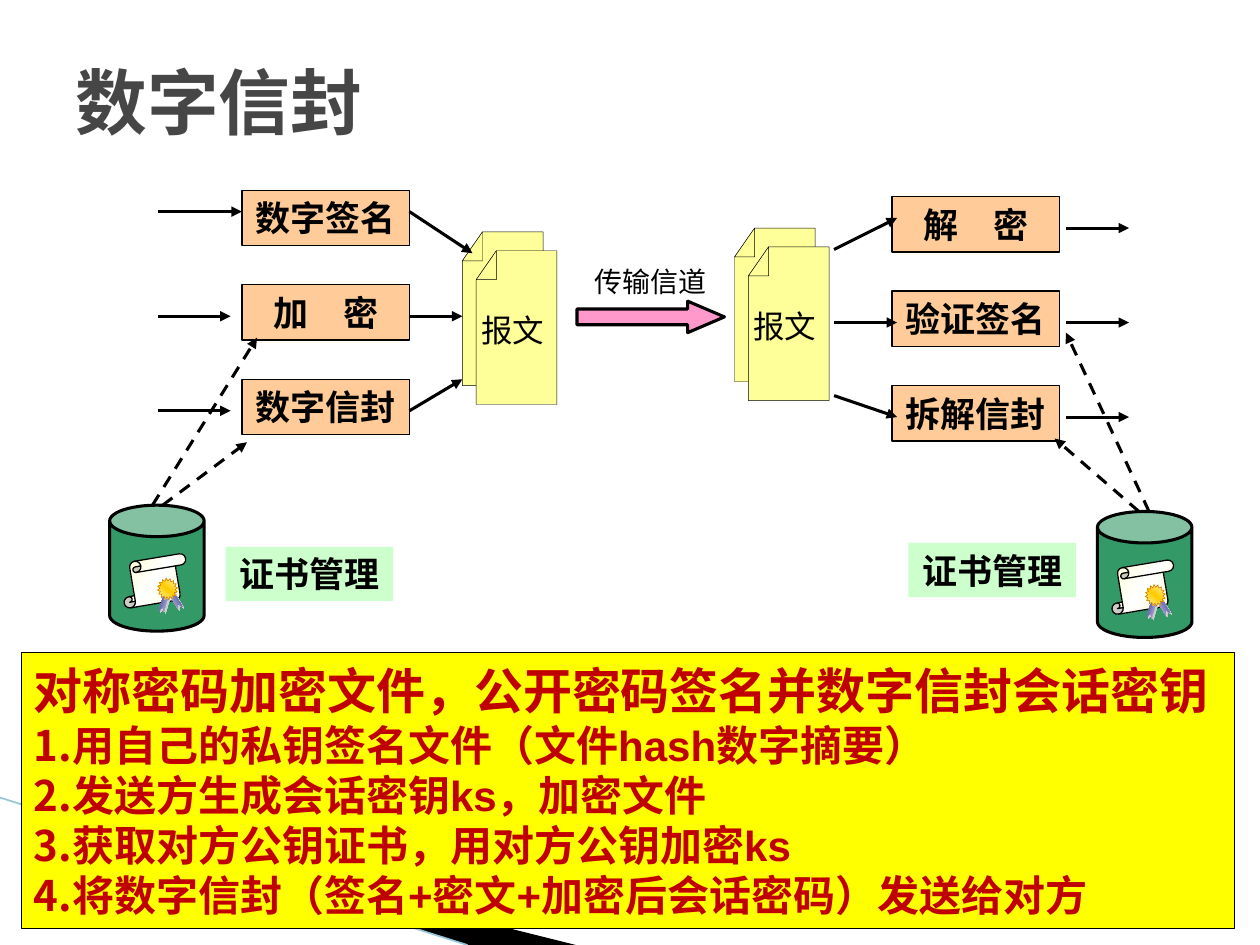
from pptx import Presentation
from pptx.dml.color import RGBColor
from pptx.enum.dml import MSO_LINE
from pptx.enum.shapes import MSO_CONNECTOR, MSO_SHAPE
from pptx.enum.text import MSO_ANCHOR, PP_ALIGN
from pptx.oxml import parse_xml
from pptx.oxml.ns import nsdecls, qn
from pptx.util import Inches, Pt

CJK_FONT = "Noto Sans CJK SC"
BLACK = "000000"
STEP_SPACING = 0.75


def color(value):
    """Turn a hex string into a colour."""
    return RGBColor.from_string(value)


def element(tag, attributes=""):
    """Make one empty drawing element."""
    return parse_xml(f"<a:{tag} {nsdecls('a')} {attributes}/>")


def paint(shape, fill=None, line=None, width=0.75):
    """Set fill and outline and switch the shadow off."""
    shape.shadow.inherit = False
    if fill:
        shape.fill.solid()
        shape.fill.fore_color.rgb = color(fill)
    if line:
        shape.line.color.rgb = color(line)
        shape.line.width = Pt(width)
    else:
        shape.line.fill.background()


def paint_gradient(shape, stops, angle):
    """Fill a shape with (percent, colour) stops at a clockwise angle."""
    shape.fill.gradient()
    shape.fill.gradient_angle = (360 - angle) % 360
    stop_list = shape.element.spPr.find(qn("a:gradFill")).find(qn("a:gsLst"))
    stop_list.clear()
    for percent, value in stops:
        stop = element("gs", f'pos="{percent * 1000}"')
        stop.append(element("srgbClr", f'val="{value}"'))
        stop_list.append(stop)


def add_preset(page, kind, place, adjust=(), rotation=0, **look):
    """Add a preset shape at (left, top, width, height)."""
    shape = page.shapes.add_shape(kind, *map(Inches, place))
    for index, value in enumerate(adjust):
        shape.adjustments[index] = value
    shape.rotation = rotation
    paint(shape, **look)
    return shape


def add_outline(page, points, fill, line=None, width=0.25):
    """Add a closed polygon through the given points."""
    corners = [(Inches(x), Inches(y)) for x, y in points]
    builder = page.shapes.build_freeform(*corners[0])
    builder.add_line_segments(corners[1:], close=True)
    paint(builder.convert_to_shape(), fill, line, width)


def add_line(page, start, end, tint=BLACK, width=1.75, dashed=False, arrow=True):
    """Add a straight line, with an arrowhead at its end unless told otherwise."""
    line = page.shapes.add_connector(
        MSO_CONNECTOR.STRAIGHT, *map(Inches, (*start, *end)))
    line.line.color.rgb = color(tint)
    line.line.width = Pt(width)
    if dashed:
        line.line.dash_style = MSO_LINE.DASH
    properties = line.element.spPr
    if arrow:
        properties.find(qn("a:ln")).append(element("tailEnd", 'type="triangle"'))
    properties.append(element("effectLst"))


def set_margins(box, side=0.1, edge=0.05):
    """Prepare a text frame with wrapping, insets and middle anchoring."""
    frame = box.text_frame
    frame.word_wrap = True
    frame.vertical_anchor = MSO_ANCHOR.MIDDLE
    frame.margin_left = frame.margin_right = Inches(side)
    frame.margin_top = frame.margin_bottom = Inches(edge)
    return frame


def write(paragraph, text, size, font="Arial", tint=BLACK, bold=False,
          align=PP_ALIGN.LEFT):
    """Write one formatted span into a paragraph."""
    paragraph.alignment = align
    span = paragraph.add_run()
    span.text = text
    span.font.name = font
    span.font.size = Pt(size)
    span.font.bold = bold
    span.font.color.rgb = color(tint)
    span.font._element.append(element("ea", f'typeface="{CJK_FONT}"'))


def add_text(page, text, place, side=0.1, edge=0.05, wrap=True, **style):
    """Add a text box with one paragraph."""
    box = page.shapes.add_textbox(*map(Inches, place))
    frame = set_margins(box, side, edge)
    frame.word_wrap = wrap
    write(frame.paragraphs[0], text, **style)


def add_label(page, text, left, top, height=0.44, fill="FFCC99", line=BLACK):
    """Add a filled rectangle with a bold centred label."""
    box = add_preset(page, MSO_SHAPE.RECTANGLE, (left, top, 1.33, height),
                     fill=fill, line=line)
    write(set_margins(box, 0).paragraphs[0], text, 20, bold=True,
          align=PP_ALIGN.CENTER)


def add_steps(page, names, left, top):
    """Stack the processing steps at an even distance."""
    for index, name in enumerate(names):
        add_label(page, name, left, top + index * STEP_SPACING)


def add_sheet(page, left, top):
    """Add a sheet of paper with its top left corner folded."""
    right, bottom = left + 0.64, top + 1.22
    fold, crease = (left + 0.16, top), (left, top + 0.23)
    look = {"fill": "FFFF99", "line": BLACK}
    add_outline(page, [fold, (right, top), (right, bottom), (left, bottom), crease], **look)
    add_outline(page, [fold, (fold[0], crease[1]), crease], **look)


def add_message(page, left, top):
    """Add two overlapping sheets that stand for the message."""
    add_sheet(page, left, top)
    add_sheet(page, left + 0.11, top + 0.15)
    add_text(page, "报文", (left + 0.15, top + 0.63, 0.5, 0.3), side=0, edge=0,
             wrap=False, size=18, font=CJK_FONT)


def add_certificate_store(page, left, top):
    """Add a drum that carries a scroll with a ribboned seal."""
    add_preset(page, MSO_SHAPE.CAN, (left, top, 0.75, 1), [0.333],
               fill="339966", line=BLACK, width=1.75)
    scroll = add_preset(page, MSO_SHAPE.VERTICAL_SCROLL,
                        (left + 0.09, top + 0.42, 0.54, 0.36), [0.25], 350.5,
                        line=BLACK)
    paint_gradient(scroll, [(0, "FFFFCC"), (50, "FFFFFF"), (100, "FFFFCC")], 45)
    for across, down, rotation, flip in ((0.43, 0.72, 239.1, 0), (0.35, 0.74, 106.7, 1)):
        ribbon = add_preset(page, MSO_SHAPE.CHEVRON,
                            (left + across, top + down, 0.17, 0.04), [1], rotation)
        paint_gradient(ribbon, [(0, "D6D6E3"), (100, "333399")], 90)
        properties = ribbon.element.spPr
        properties.find(qn("a:xfrm")).set("flipH", str(flip))
        shadow = element("outerShdw", 'dist="17780" dir="2700000"')
        shadow.append(element("srgbClr", 'val="CECECE"'))
        properties.find(qn("a:effectLst")).append(shadow)
    seal = add_preset(page, MSO_SHAPE.STAR_16_POINT,
                      (left + 0.38, top + 0.58, 0.16, 0.17), [0.375], 352.9,
                      line="CC6600", width=0.25)
    paint_gradient(seal, [(0, "FFFFCC"), (50, "FFCC00"), (100, "FFFFCC")], 315)


def add_summary(page, heading, items):
    """Add the yellow box with a heading and a numbered list."""
    box = add_preset(page, MSO_SHAPE.RECTANGLE, (0.17, 5.18, 9.63, 2.19),
                     fill="FFFF00", line=BLACK)
    frame = set_margins(box)
    for index, text in enumerate([heading, *items]):
        paragraph = frame.paragraphs[0] if index == 0 else frame.add_paragraph()
        paragraph.line_spacing = Pt(28.7 if index else 33.4)
        properties = paragraph._p.get_or_add_pPr()
        properties.set("marL", str(Inches(0.25)))
        properties.set("indent", str(Inches(-0.25)))
        if index:
            properties.append(element("buFont", f'typeface="{CJK_FONT}"'))
            properties.append(element("buAutoNum", 'type="arabicPeriod"'))
        write(paragraph, text, 24 if index else 28, tint="C00000", bold=True)


def main():
    """Build the digital envelope slide."""
    deck = Presentation()
    deck.slide_width, deck.slide_height = Inches(10), Inches(7.5)
    page = deck.slides.add_slide(deck.slide_layouts[6])
    add_outline(page, [(0.53, 6.49), (4.57, 7.5), (3.72, 7.5), (0.54, 6.5)], BLACK)
    add_line(page, (0, 6.33), (3.71, 7.5), tint="97C5D8", width=0.95, arrow=False)
    add_text(page, "数字信封", (0.5, 0.3, 9, 1), size=41, font="DejaVu Sans Mono",
             tint="464646", bold=True)
    add_steps(page, ["数字签名", "加　密", "数字信封"], 1.92, 1.51)
    add_steps(page, ["解　密", "验证签名", "拆解信封"], 7.08, 1.56)
    add_message(page, 3.67, 1.84)
    add_message(page, 5.83, 1.81)
    add_preset(page, MSO_SHAPE.RIGHT_ARROW, (4.58, 2.39, 1.17, 0.25), [0.5, 1.167],
               fill="FF99CC", line=BLACK, width=1.75)
    add_text(page, "传输信道", (4.58, 2.05, 1.17, 0.37), size=16, font=CJK_FONT,
             align=PP_ALIGN.CENTER)
    for left, top in ((0.87, 4.01), (8.71, 4.06)):
        add_certificate_store(page, left, top)
    for left, top in ((1.79, 4.34), (7.21, 4.31)):
        add_label(page, "证书管理", left, top, 0.43, "CCFFCC", None)
    for y, entry, target in ((1.68, 1.92, (3.75, 2.01)), (2.51, 1.83, (3.67, 2.51)),
                             (3.26, 1.83, (3.67, 3.01))):
        add_line(page, (1.25, y), (entry, y))
        add_line(page, (3.25, y), target)
    for y, source, target in ((1.81, 1.98, 1.73), (2.56, 2.56, 2.56), (3.31, 3.14, 3.31)):
        add_line(page, (6.62, source), (7.12, target))
        add_line(page, (8.46, y), (8.96, y))
    for start, end in (((1.21, 4.01), (2.04, 2.68)), ((1.29, 4.01), (1.96, 3.51)),
                       ((9.12, 4.06), (8.46, 2.64)), ((9.04, 4.06), (8.37, 3.48))):
        add_line(page, start, end, dashed=True)
    add_summary(page, "对称密码加密文件，公开密码签名并数字信封会话密钥",
                ["用自己的私钥签名文件（文件hash数字摘要）",
                 "发送方生成会话密钥ks，加密文件",
                 "获取对方公钥证书，用对方公钥加密ks",
                 "将数字信封（签名+密文+加密后会话密码）发送给对方"])
    deck.save("out.pptx")


if __name__ == "__main__":
    main()
